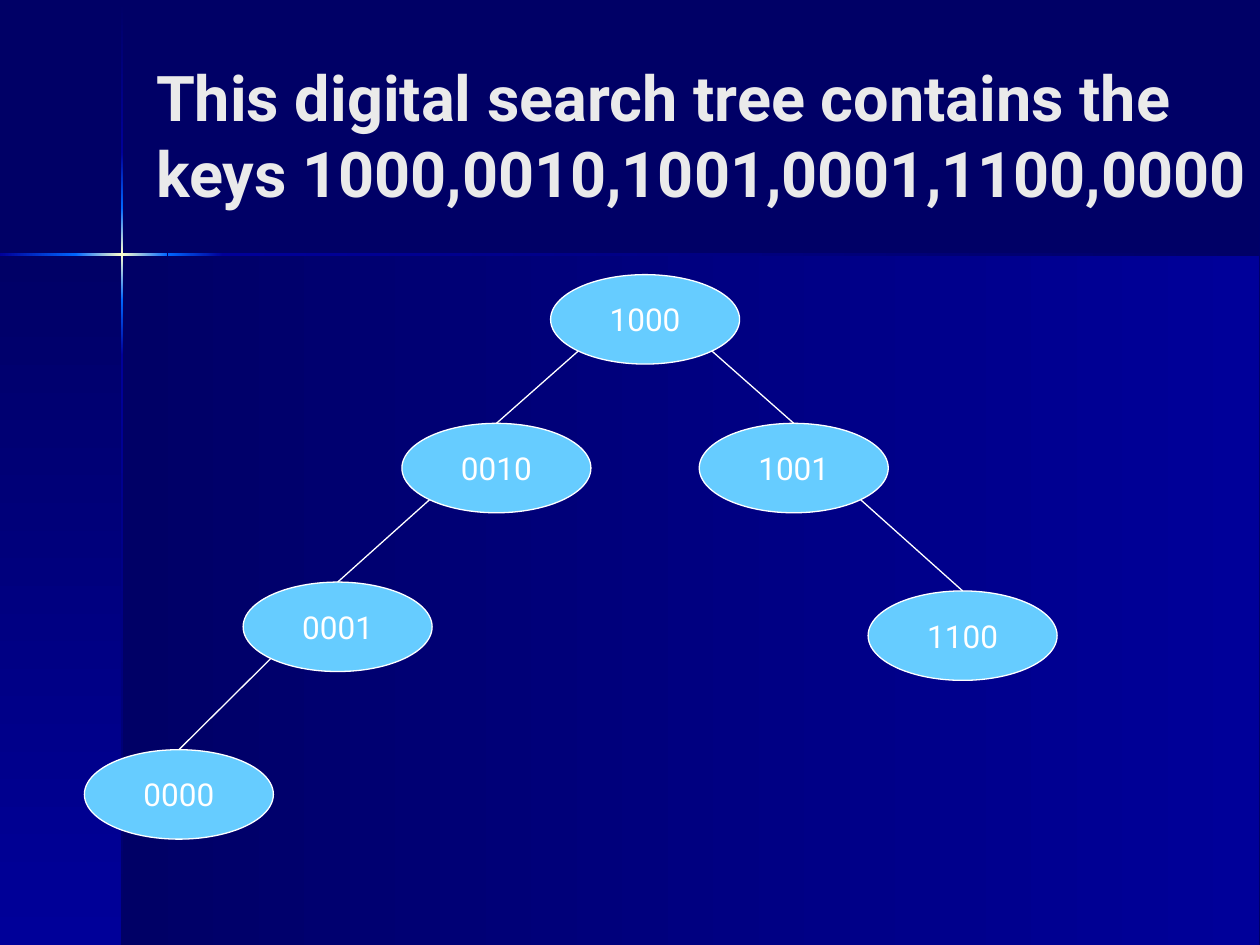
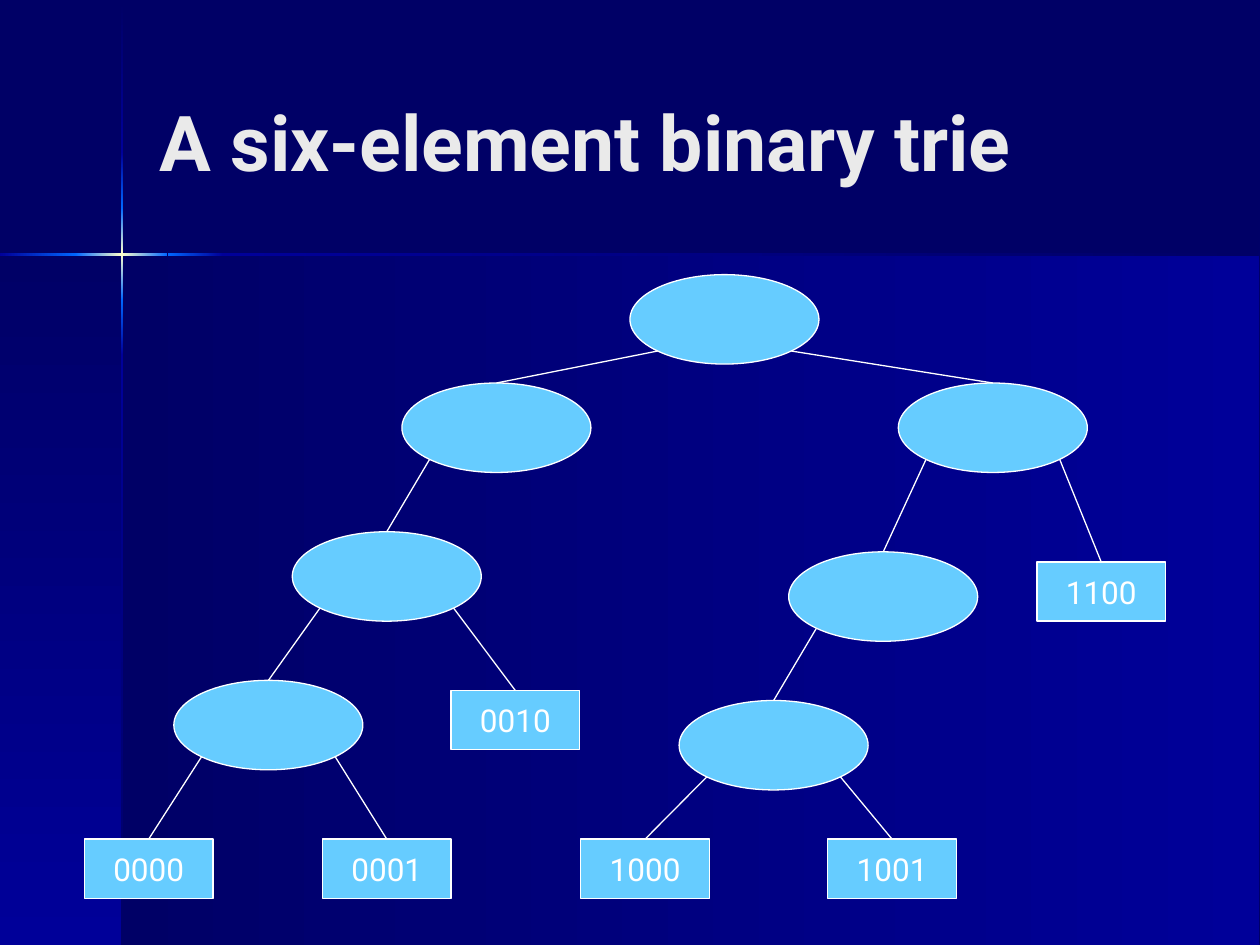
from lxml import etree
from pptx import Presentation
from pptx.dml.color import RGBColor
from pptx.enum import shapes, text
from pptx.oxml import ns
from pptx.util import Inches, Pt
from copy import deepcopy
from math import sqrt

NAVY = RGBColor(0x00, 0x00, 0x66)
BLUE = RGBColor(0x00, 0x00, 0x99)
BRIGHT = RGBColor(0x00, 0x66, 0xFF)
GLOW = RGBColor(0xFF, 0xFF, 0xCC)
SKY = RGBColor(0x66, 0xCC, 0xFF)
WHITE = RGBColor(0xFF, 0xFF, 0xFF)
TITLE_COLOR = RGBColor(0xEA, 0xEA, 0xEA)
FONT = "Roboto"
RIGHTWARD, DOWNWARD = 0, 270  # gradient angles, counter-clockwise

ELLIPSE, BOX = shapes.MSO_SHAPE.OVAL, shapes.MSO_SHAPE.RECTANGLE
NODE_SIZE = {ELLIPSE: (1.5, 0.71), BOX: (1.02, 0.47)}
LEFT, RIGHT = -1, 1

# left, top, width, height, gradient angle, colours along the gradient
BACKDROP = [
    (0.97, 2.02, 9.02, 5.48, RIGHTWARD, (NAVY, BLUE)),
    (0, 2.02, 0.97, 5.48, DOWNWARD, (NAVY, BLUE)),
    (0.96, 0.01, 0.02, 1.2, DOWNWARD, (NAVY, BLUE)),
    (0.96, 2.82, 0.02, 4.68, DOWNWARD, (BLUE, NAVY)),
    (1.77, 2.01, 8.22, 0.02, RIGHTWARD, (BLUE, NAVY)),
    (0.96, 2.38, 0.02, 0.44, DOWNWARD, (BRIGHT, BLUE)),
    (0.96, 1.21, 0.02, 0.44, DOWNWARD, (BLUE, BRIGHT)),
    (0.96, 1.65, 0.02, 0.73, DOWNWARD, (BRIGHT, GLOW, BRIGHT)),
    (0, 2.01, 0.61, 0.02, RIGHTWARD, (BLUE, BRIGHT)),
    (1.33, 2.01, 0.44, 0.02, RIGHTWARD, (BRIGHT, BLUE)),
    (0.6, 2.01, 0.73, 0.02, RIGHTWARD, (BRIGHT, GLOW, BRIGHT)),
]

# Each node: shape, left, top, label, index of its parent, side of the parent
SEARCH_TREE = [
    (ELLIPSE, 4.37, 2.18, "1000", None, None),
    (ELLIPSE, 3.19, 3.36, "0010", 0, LEFT),
    (ELLIPSE, 5.55, 3.36, "1001", 0, RIGHT),
    (ELLIPSE, 6.89, 4.69, "1100", 2, RIGHT),
    (ELLIPSE, 1.93, 4.62, "0001", 1, LEFT),
    (ELLIPSE, 0.67, 5.95, "0000", 4, LEFT),
]
BINARY_TRIE = [
    (ELLIPSE, 5, 2.18, "", None, None),
    (ELLIPSE, 3.19, 3.04, "", 0, LEFT),
    (ELLIPSE, 7.13, 3.04, "", 0, RIGHT),
    (ELLIPSE, 2.32, 4.22, "", 1, LEFT),
    (ELLIPSE, 1.38, 5.4, "", 3, LEFT),
    (ELLIPSE, 6.26, 4.38, "", 2, LEFT),
    (ELLIPSE, 5.39, 5.56, "", 5, LEFT),
    (BOX, 3.58, 5.48, "0010", 3, RIGHT),
    (BOX, 0.67, 6.66, "0000", 4, LEFT),
    (BOX, 2.56, 6.66, "0001", 4, RIGHT),
    (BOX, 4.61, 6.66, "1000", 6, LEFT),
    (BOX, 6.57, 6.66, "1001", 6, RIGHT),
    (BOX, 8.23, 4.46, "1100", 2, RIGHT),
]

# Title, its size in points, its place, and the tree below it
SLIDES = [
    ("This digital search tree contains the keys 1000,0010,1001,0001,1100,0000",
     36, (1.14, 0.28, 8.86, 1.57), SEARCH_TREE),
    ("A six-element binary trie", 44, (1.17, 0.33, 8.25, 1.57), BINARY_TRIE),
]


def write_text(shape, content, size, color, bold=False):
    frame = shape.text_frame
    frame.text = content
    frame.vertical_anchor = text.MSO_ANCHOR.MIDDLE
    font = frame.paragraphs[0].runs[0].font
    font.name, font.size, font.bold = FONT, Pt(size), bold
    font.color.rgb = color


def fill_gradient(shape, angle, colors):
    """Spread the colours evenly along the angle."""
    fill = shape.fill
    fill.gradient()
    fill.gradient_angle = angle
    stop_list = shape._element.spPr.find(".//" + ns.qn("a:gsLst"))
    while len(stop_list) < len(colors):
        stop_list.append(deepcopy(stop_list[-1]))
    for index, (stop, color) in enumerate(zip(fill.gradient_stops, colors)):
        stop.position = index / (len(colors) - 1)
        stop.color.rgb = color


presentation = Presentation()
presentation.slide_width = Inches(10)
presentation.slide_height = Inches(7.5)

for title, title_size, title_place, tree in SLIDES:
    slide = presentation.slides.add_slide(presentation.slide_layouts[6])
    slide.background.fill.solid()
    slide.background.fill.fore_color.rgb = NAVY

    for *place, angle, colors in BACKDROP:
        panel = slide.shapes.add_shape(BOX, *map(Inches, place))
        panel.shadow.inherit = False
        panel.line.fill.background()
        fill_gradient(panel, angle, colors)

    title_box = slide.shapes.add_textbox(*map(Inches, title_place))
    title_box.text_frame.word_wrap = True
    write_text(title_box, title, title_size, TITLE_COLOR, bold=True)

    nodes = []
    for kind, left, top, label, parent_index, side in tree:
        width, height = NODE_SIZE[kind]
        node = slide.shapes.add_shape(kind, *map(Inches, (left, top, width, height)))
        node.shadow.inherit = False
        node.fill.solid()
        node.fill.fore_color.rgb = SKY
        node.line.color.rgb = WHITE
        node.line.width = Pt(0.75)
        if label:
            node.text_frame.word_wrap = False
            write_text(node, label, 18, WHITE)
            node.text_frame.paragraphs[0].alignment = text.PP_ALIGN.CENTER
        nodes.append(node)

        if parent_index is None:
            continue
        # Branches leave the parent's ellipse at 45 degrees below its centre.
        parent = nodes[parent_index]
        start_x = parent.left + int(parent.width / 2 * (1 + side / sqrt(2)))
        start_y = parent.top + int(parent.height / 2 * (1 + 1 / sqrt(2)))
        branch = slide.shapes.add_connector(
            shapes.MSO_CONNECTOR.STRAIGHT, start_x, start_y,
            node.left + node.width // 2, node.top)
        branch.end_connect(node, 0)
        branch.line.color.rgb = WHITE
        branch.line.width = Pt(0.75)
        etree.SubElement(branch._element.spPr, ns.qn("a:effectLst"))

presentation.save("out.pptx")
